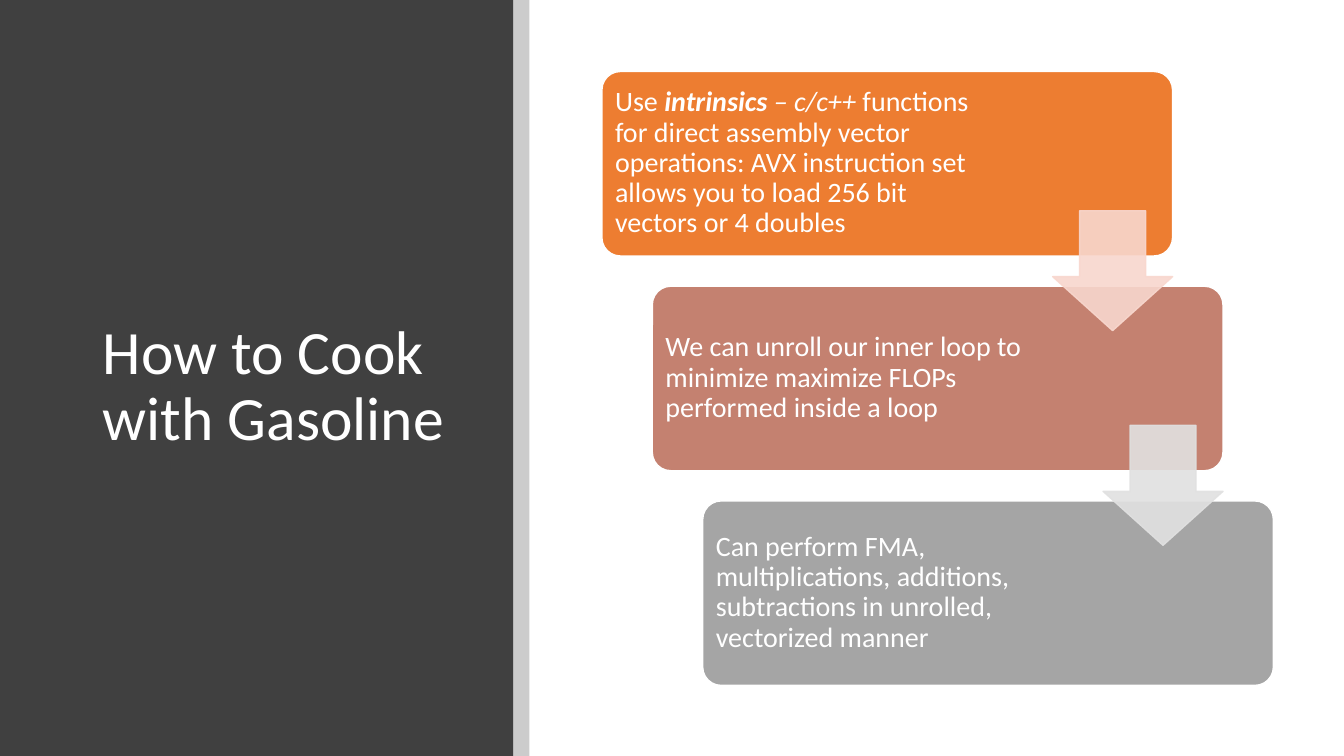
from dataclasses import dataclass

from lxml.etree import SubElement
from pptx import Presentation
from pptx.dml.color import RGBColor
from pptx.enum.shapes import MSO_SHAPE as Preset
from pptx.enum.text import MSO_ANCHOR as Anchor, MSO_AUTO_SIZE as AutoSize, PP_ALIGN as Align
from pptx.oxml.ns import qn
from pptx.util import Pt

PX = 9144


@dataclass(frozen=True)
class Theme:
    font: str = "Calibri"
    title_size: int = 44
    step_size: int = 20
    line_spacing: float = 0.9
    white: str = "FFFFFF"
    panel: str = "404040"
    stripe: str = "000000"
    step_fills: tuple = ("ED7D31", "C48170", "A5A5A5")
    arrow_fills: tuple = ("F8D7CE", "E1E1E1")


THEME = Theme()

STEPS = (
    (369, (
        ("Use ", False, False),
        ("intrinsics", True, True),
        (" – c/c++ ", False, True),
        ("functions for direct assembly vector operations: AVX instruction set "
         "allows you to load 256 bit vectors or 4 doubles", False, False),
    )),
    (387, (
        ("We can unroll our inner loop to minimize maximize FLOPs "
         "performed inside a loop", False, False),
    )),
    (387, (
        ("Can perform FMA, multiplications, additions, subtractions in unrolled, "
         "vectorized manner", False, False),
    )),
)


def emu(*lengths):
    return [length * PX for length in lengths]


def paint(fill, color, opacity):
    fill.solid()
    fill.fore_color.rgb = RGBColor.from_string(color)
    if opacity < 100:
        for tint in fill._xPr.iter(qn("a:srgbClr")):
            SubElement(tint, qn("a:alpha"), val=str(opacity * 1000))


def add_block(slide, preset, box, color, outline=None, opacity=100, adjustments=()):
    block = slide.shapes.add_shape(preset, *emu(*box))
    block.shadow.inherit = False
    paint(block.fill, color, opacity)
    if outline:
        block.line.width = Pt(1)
        paint(block.line.fill, outline, opacity)
    else:
        block.line.fill.background()
    for index, value in enumerate(adjustments):
        block.adjustments[index] = value
    return block


def format_frame(frame, size):
    frame.word_wrap = True
    frame.auto_size = AutoSize.NONE
    frame.vertical_anchor = Anchor.MIDDLE
    for paragraph in frame.paragraphs:
        paragraph.alignment = Align.LEFT
        paragraph.line_spacing = THEME.line_spacing
        for run in paragraph.runs:
            run.font.name = THEME.font
            run.font.size = Pt(size)
            run.font.color.rgb = RGBColor.from_string(THEME.white)


def set_title(slide, panel, text, box):
    title = slide.shapes.title
    title.left, title.top, title.width, title.height = emu(*box)
    title.text_frame.text = text
    format_frame(title.text_frame, THEME.title_size)
    panel.element.addnext(title.element)


def add_step_text(slide, box, phrases):
    frame = slide.shapes.add_textbox(*emu(*box)).text_frame
    frame.margin_left = frame.margin_right = 8 * PX
    frame.margin_top = frame.margin_bottom = 8 * PX
    for text, bold, italic in phrases:
        run = frame.paragraphs[0].add_run()
        run.text = text
        run.font.bold = bold
        run.font.italic = italic
    format_frame(frame, THEME.step_size)


def add_staircase(slide, left, top, shift, drop):
    for index, (text_width, phrases) in enumerate(STEPS):
        x, y = left + index * shift, top + index * drop
        add_block(slide, Preset.ROUNDED_RECTANGLE, (x, y, 566, 183),
                  THEME.step_fills[index], THEME.white, adjustments=(0.1,))
        add_step_text(slide, (x + 5, y + 5, text_width, 172), phrases)
    for index, color in enumerate(THEME.arrow_fills):
        add_block(slide, Preset.DOWN_ARROW,
                  (left + 447 + index * shift, top + 138 + index * drop, 119, 119),
                  color, color, opacity=90, adjustments=(0.55, 0.45))


def main():
    deck = Presentation()
    deck.slide_width, deck.slide_height = emu(1333, 750)
    slide = deck.slides.add_slide(deck.slide_layouts[5])
    panel = add_block(slide, Preset.RECTANGLE, (0, 0, 509, 750), THEME.panel)
    set_title(slide, panel, "How to Cook with Gasoline", (92, 89, 365, 591))
    add_block(slide, Preset.RECTANGLE, (509, 0, 16, 750), THEME.stripe, opacity=20)
    add_staircase(slide, left=597, top=71, shift=50, drop=213)
    deck.save("out.pptx")


if __name__ == "__main__":
    main()
